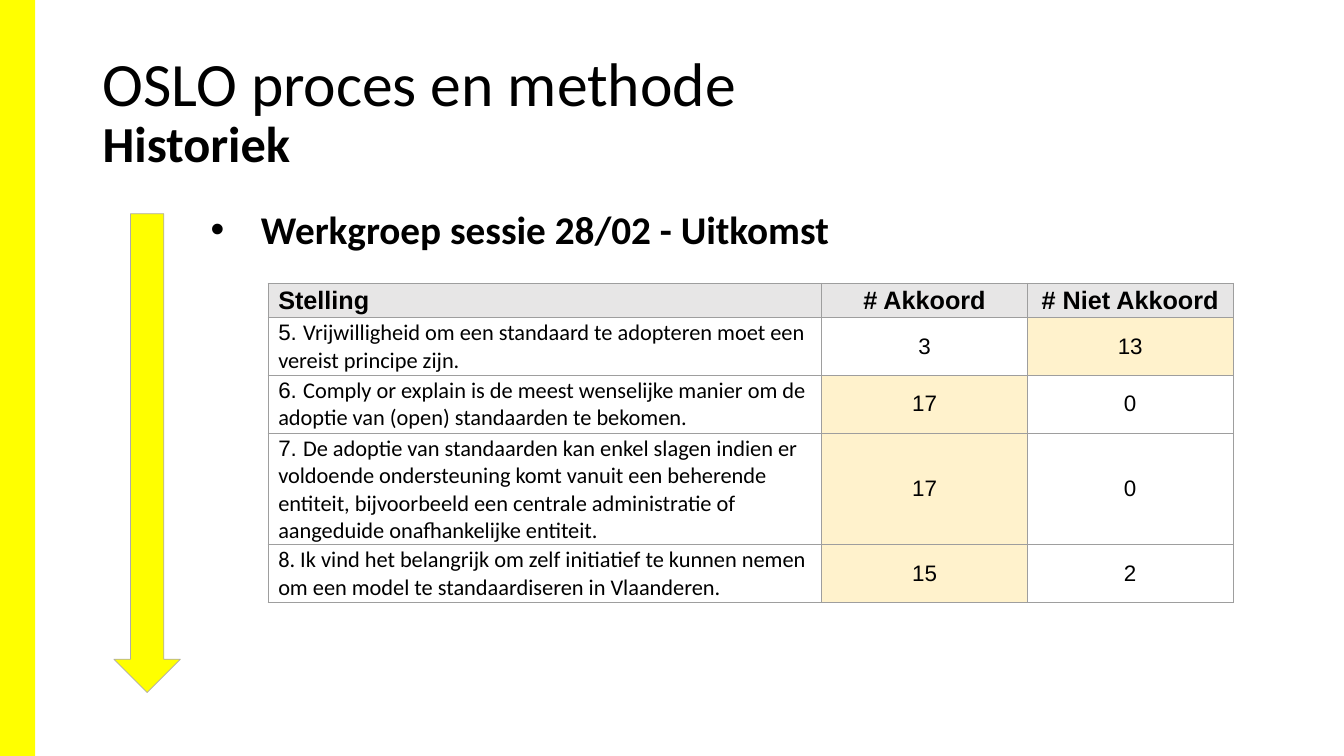
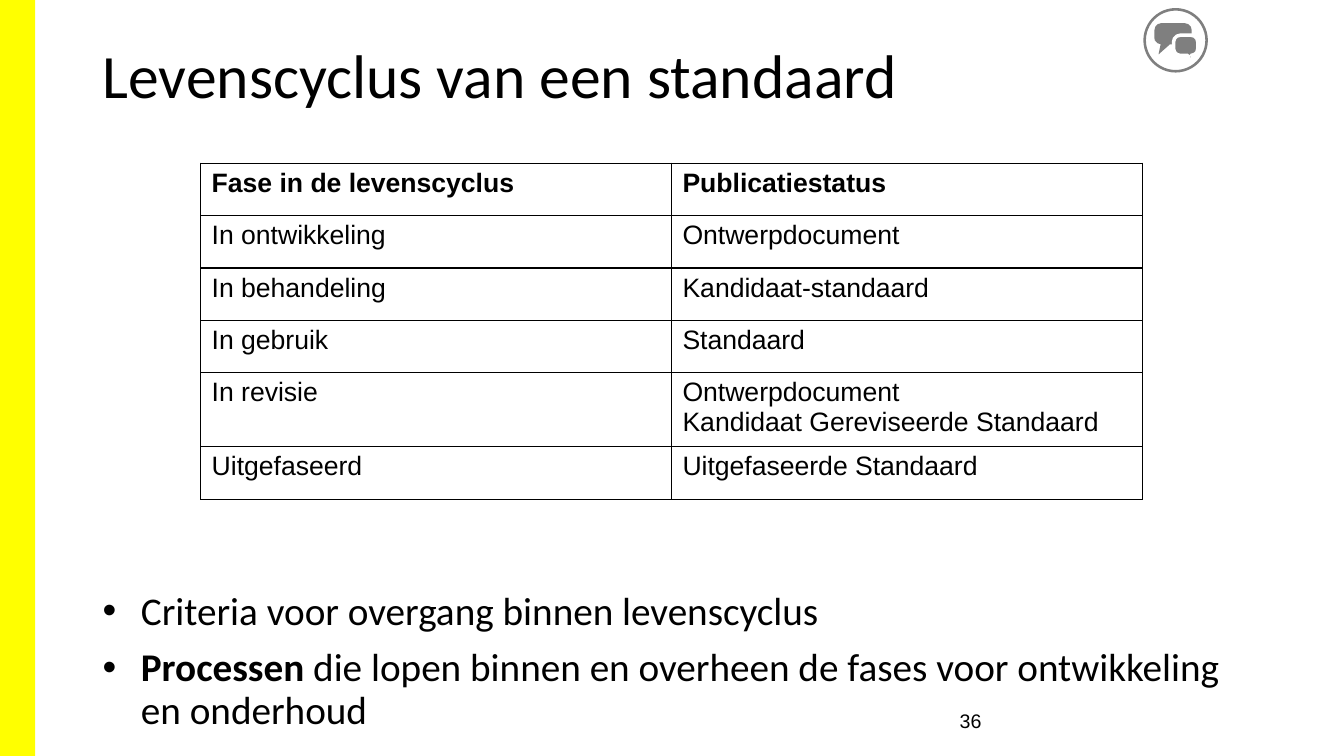
from lxml import etree
from pptx import Presentation
from pptx.dml.color import RGBColor
from pptx.enum.shapes import MSO_SHAPE
from pptx.enum.text import MSO_ANCHOR, PP_ALIGN
from pptx.oxml.ns import qn
from pptx.util import Inches, Pt

RECTANGLE = MSO_SHAPE.RECTANGLE
DOWN_ARROW = MSO_SHAPE.DOWN_ARROW
DONUT = MSO_SHAPE.DONUT
BUBBLE = MSO_SHAPE.ROUNDED_RECTANGULAR_CALLOUT
TOP, MIDDLE = MSO_ANCHOR.TOP, MSO_ANCHOR.MIDDLE
LEFT, CENTER = PP_ALIGN.LEFT, PP_ALIGN.CENTER

BLACK = RGBColor(0x00, 0x00, 0x00)
WHITE = RGBColor(0xFF, 0xFF, 0xFF)
YELLOW = RGBColor(0xFF, 0xFF, 0x00)
ARROW_LINE = RGBColor(0xAF, 0xAB, 0xAB)
ICON_GREY = RGBColor(0x7F, 0x7F, 0x7F)
GRID_GREY = RGBColor(0x9E, 0x9E, 0x9E)
HEADER_GREY = RGBColor(0xE7, 0xE6, 0xE6)
HIGHLIGHT = RGBColor(0xFF, 0xF2, 0xCC)

HEADING_FONT = "Calibri"
TABLE_FONT = "Arial"
SLIDE_WIDTH, SLIDE_HEIGHT = 13.33, 7.5
TITLE_BOX = (0.92, 0.4, 11.5, 1.45)

VOTE_HEADERS = ("Stelling", "# Akkoord", "# Niet Akkoord")
VOTES = (
    ("5. ", "Vrijwilligheid om een standaard te adopteren moet een vereist principe zijn.", 3, 13),
    ("6. ", "Comply or explain is de meest wenselijke manier om de adoptie van (open) "
            "standaarden te bekomen.", 17, 0),
    ("7. ", "De adoptie van standaarden kan enkel slagen indien er voldoende ondersteuning "
            "komt vanuit een beherende entiteit, bijvoorbeeld een centrale administratie of "
            "aangeduide onafhankelijke entiteit.", 17, 0),
    ("", "8. Ik vind het belangrijk om zelf initiatief te kunnen nemen om een model te "
         "standaardiseren in Vlaanderen.", 15, 2),
)
PHASES = (
    ("Fase in de levenscyclus", "Publicatiestatus"),
    ("In ontwikkeling", "Ontwerpdocument"),
    ("In behandeling", "Kandidaat-standaard"),
    ("In gebruik", "Standaard"),
    ("In revisie", "Ontwerpdocument\nKandidaat Gereviseerde Standaard"),
    ("Uitgefaseerd", "Uitgefaseerde Standaard"),
)


def set_font(target, name, size, bold=False):
    target.font.name = name
    target.font.size = Pt(size)
    target.font.bold = bold
    target.font.color.rgb = BLACK


def add_text_box(page, box, inset=0.05, anchor=TOP):
    frame = page.shapes.add_textbox(*map(Inches, box)).text_frame
    frame.word_wrap = True
    frame.vertical_anchor = anchor
    frame.margin_left = frame.margin_right = Inches(0.1)
    frame.margin_top = frame.margin_bottom = Inches(inset)
    return frame


def add_plain_shape(page, kind, box, color, line=None, line_width=0.5):
    shape = page.shapes.add_shape(kind, *map(Inches, box))
    shape.shadow.inherit = False
    shape.fill.solid()
    shape.fill.fore_color.rgb = color
    if line is None:
        shape.line.fill.background()
    else:
        shape.line.color.rgb = line
        shape.line.width = Pt(line_width)
    return shape


def add_page(deck):
    page = deck.slides.add_slide(deck.slide_layouts[6])
    add_plain_shape(page, RECTANGLE, (0, 0, 0.35, SLIDE_HEIGHT), YELLOW)
    return page


def add_title(page, title, subtitle=None):
    if subtitle:
        frame = add_text_box(page, TITLE_BOX, 0.1, MIDDLE)
    else:
        frame = add_text_box(page, TITLE_BOX)
    para = frame.paragraphs[0]
    para.line_spacing = 0.9
    set_font(para.add_run(), HEADING_FONT, 44)
    para.runs[0].text = title
    if subtitle:
        para.add_line_break()
        span = para.add_run()
        span.text = subtitle
        set_font(span, HEADING_FONT, 36, True)


def add_bullets(page, box, items, indent):
    frame = add_text_box(page, box)
    for index, spans in enumerate(items):
        para = frame.add_paragraph() if index else frame.paragraphs[0]
        properties = para._p.get_or_add_pPr()
        properties.set("marL", str(Inches(indent)))
        properties.set("indent", str(-Inches(indent)))
        etree.SubElement(properties, qn("a:buFont"), typeface="Arial")
        etree.SubElement(properties, qn("a:buChar"), char="•")
        para.line_spacing = 0.9
        if index:
            para.space_before = Pt(10)
        set_font(para, HEADING_FONT, 28)
        for text, bold in spans:
            span = para.add_run()
            span.text = text
            span.font.bold = bold


def set_borders(cell, color, width):
    properties = cell._tc.get_or_add_tcPr()
    for index, side in enumerate(("a:lnL", "a:lnR", "a:lnT", "a:lnB")):
        line = etree.Element(qn(side), w=str(Pt(width)))
        fill = etree.SubElement(line, qn("a:solidFill"))
        etree.SubElement(fill, qn("a:srgbClr"), val=str(color))
        properties.insert(index, line)


def add_grid(page, left, top, widths, heights, border, border_width):
    table = page.shapes.add_table(
        len(heights), len(widths), Inches(left), Inches(top),
        Inches(sum(widths)), Inches(sum(heights))).table
    table.first_row = table.horz_banding = False
    for column, width in zip(table.columns, widths):
        column.width = Inches(width)
    for row, height in zip(table.rows, heights):
        row.height = Inches(height)
    for cell in table.iter_cells():
        set_borders(cell, border, border_width)
    return table


def fill_cell(cell, text, size, bold=False, align=LEFT, color=None,
              margins=(0.1, 0.02), anchor=MIDDLE):
    cell.margin_left = cell.margin_right = Inches(margins[0])
    cell.margin_top = cell.margin_bottom = Inches(margins[1])
    cell.vertical_anchor = anchor
    if color is None:
        cell.fill.background()
    else:
        cell.fill.solid()
        cell.fill.fore_color.rgb = color
    cell.text = text
    for para in cell.text_frame.paragraphs:
        para.alignment = align
        set_font(para, TABLE_FONT, size, bold)


def add_vote_table(page, left, top):
    table = add_grid(page, left, top, (5.49, 2.04, 2.04),
                     (0.34, 0.53, 0.53, 0.76, 0.53), GRID_GREY, 0.75)
    for column, header in enumerate(VOTE_HEADERS):
        fill_cell(table.cell(0, column), header, 18, True,
                  CENTER if column else LEFT, HEADER_GREY)
    for row, (number, statement, *counts) in enumerate(VOTES, 1):
        cell = table.cell(row, 0)
        fill_cell(cell, number, 16)
        span = cell.text_frame.paragraphs[0].add_run()
        span.text = statement
        span.font.name = HEADING_FONT
        for column, count in enumerate(counts, 1):
            color = HIGHLIGHT if count == max(counts) else None
            fill_cell(table.cell(row, column), str(count), 16, False, CENTER, color)


def add_phase_table(page, left, top):
    heights = [0.69 if "\n" in status else 0.52 for _, status in PHASES]
    table = add_grid(page, left, top, (4.67, 4.67), heights, BLACK, 1)
    for row, texts in enumerate(PHASES):
        for column, text in enumerate(texts):
            fill_cell(table.cell(row, column), text, 19, row == 0,
                      margins=(0.11, 0.05), anchor=TOP)


def add_discussion_icon(page, left, top, size):
    ring = add_plain_shape(page, DONUT, (left, top, size, size), ICON_GREY)
    ring.adjustments[0] = 0.04
    bubbles = (
        ((0.11, 0.15, 0.37, 0.21), (-0.39, 0.98, 0.33), None),
        ((0.3, 0.27, 0.24, 0.2), (0.17, 0.85, 0.33), WHITE),
    )
    for (x, y, width, height), adjustments, outline in bubbles:
        bubble = add_plain_shape(page, BUBBLE, (left + x, top + y, width, height),
                                 ICON_GREY, outline, 2.5)
        for index, value in enumerate(adjustments):
            bubble.adjustments[index] = value


def add_page_number(page, number):
    para = add_text_box(page, (9.42, 6.95, 3, 0.4), anchor=MIDDLE).paragraphs[0]
    para.text = number
    set_font(para, TABLE_FONT, 14)


def build_history_page(deck):
    page = add_page(deck)
    add_title(page, "OSLO proces en methode", "Historiek")
    add_plain_shape(page, DOWN_ARROW, (1.13, 2.12, 0.66, 4.75), YELLOW, ARROW_LINE)
    add_bullets(page, (1.99, 2.04, 9.34, 0.6),
                [[("Werkgroep sessie 28/02 - Uitkomst", True)]], 0.5)
    add_vote_table(page, 2.66, 2.81)


def build_lifecycle_page(deck):
    page = add_page(deck)
    add_title(page, "Levenscyclus van een standaard")
    add_phase_table(page, 1.99, 1.62)
    add_bullets(page, (0.92, 5.82, 11.5, 1.5), [
        [("Criteria voor overgang binnen levenscyclus", False)],
        [("Processen", True),
         (" die lopen binnen en overheen de fases voor ontwikkeling en onderhoud", False)],
    ], 0.38)
    add_page_number(page, "36")
    add_discussion_icon(page, 11.34, 0.08, 0.64)


def main():
    deck = Presentation()
    deck.slide_width = Inches(SLIDE_WIDTH)
    deck.slide_height = Inches(SLIDE_HEIGHT)
    build_history_page(deck)
    build_lifecycle_page(deck)
    deck.save("out.pptx")


if __name__ == "__main__":
    main()
